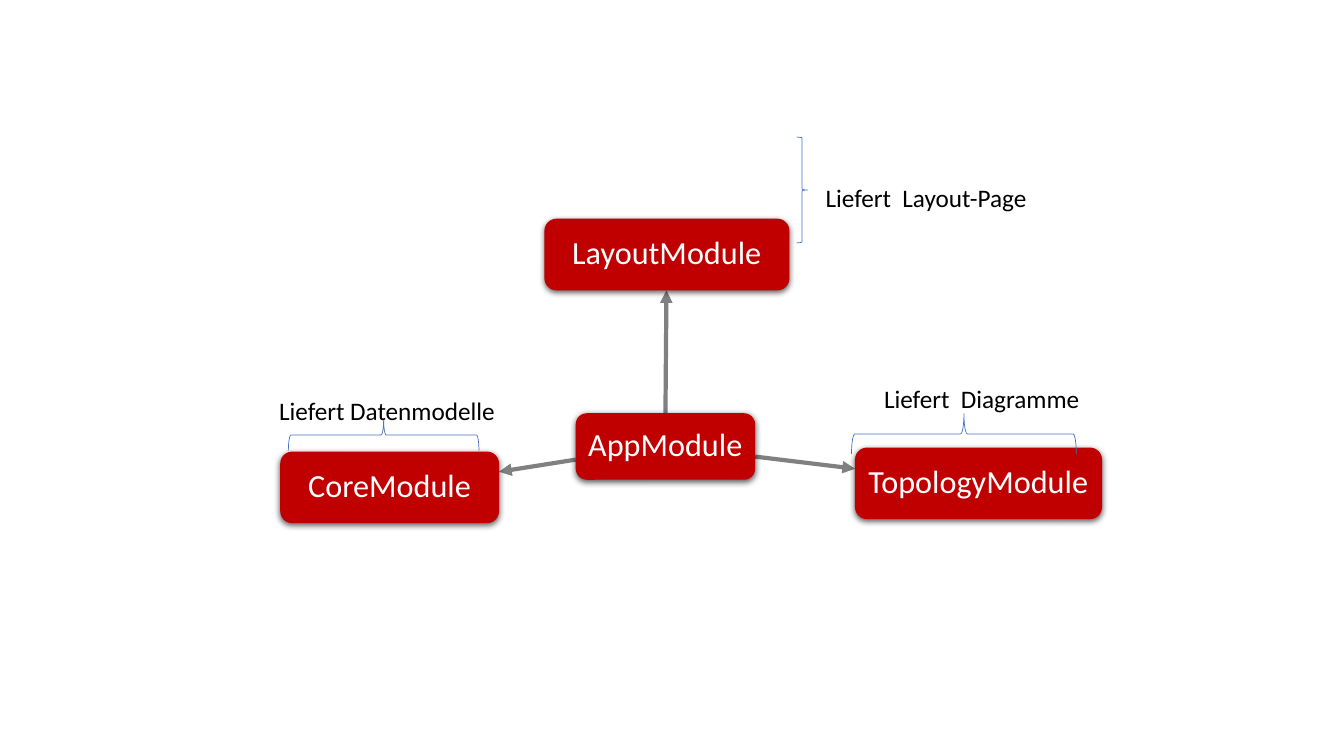
from lxml import etree
from pptx import Presentation
from pptx.dml.color import RGBColor as Rgb
from pptx.enum.shapes import MSO_CONNECTOR as Link, MSO_SHAPE as Kind
from pptx.enum.text import MSO_ANCHOR as Anchor, MSO_AUTO_SIZE as Fit, PP_ALIGN as Align
from pptx.oxml.ns import qn
from pptx.util import Inches, Pt

COLORS = {
    "box": "C00000",
    "arrow": "808080",
    "brace": "4472C4",
    "light": "FFFFFF",
    "dark": "000000",
}
PAD = Inches(0.06)
BOX_FRAME = {
    "margin_left": PAD,
    "margin_right": PAD,
    "margin_top": PAD,
    "margin_bottom": PAD,
    "vertical_anchor": Anchor.MIDDLE,
    "word_wrap": True,
}
BOX_PARA = {"alignment": Align.CENTER, "line_spacing": 0.9}
BOX_FONT = {"name": "Calibri", "size": Pt(23)}
NOTE_FONT = {"name": "Calibri", "size": Pt(18)}

MODULES = [
    ("AppModule", (5.71, 4.1, 1.78, 0.66)),
    ("LayoutModule", (5.4, 2.17, 2.43, 0.71)),
    ("TopologyModule", (8.48, 4.44, 2.45, 0.71)),
    ("CoreModule", (2.78, 4.48, 2.17, 0.71)),
]
ARROWS = [
    (6.6, 4.1, 6.61, 2.88),
    (7.49, 4.53, 8.48, 4.65),
    (5.71, 4.56, 4.95, 4.68),
]
BRACES = [
    (Kind.RIGHT_BRACE, (7.9, 1.36, 0.11, 1.05), 0),
    (Kind.LEFT_BRACE, (3.65, 3.37, 0.31, 1.89), 90),
    (Kind.LEFT_BRACE, (9.36, 3.19, 0.4, 2.23), 90),
]
NOTES = [
    ("Liefert  Layout-Page", (8.09, 1.76, 2.34, 0.4), True),
    ("Liefert Datenmodelle", (2.67, 3.87, 2.37, 0.4), False),
    ("Liefert  Diagramme", (8.67, 3.75, 2.16, 0.4), False),
]


def color(name):
    return Rgb.from_string(COLORS[name])


def inches(sizes):
    return [Inches(size) for size in sizes]


def apply(target, values):
    for name, value in values.items():
        setattr(target, name, value)


def write(frame, text, font, tint):
    run = frame.paragraphs[0].add_run()
    run.text = text
    apply(run.font, font)
    run.font.color.rgb = color(tint)


def add_shade(shape):
    props = shape._element.spPr
    for old in props.findall(qn("a:effectLst")):
        props.remove(old)
    effects = etree.SubElement(props, qn("a:effectLst"))
    shade = etree.SubElement(
        effects, qn("a:outerShdw"),
        blurRad=str(Pt(4.5)), dist=str(Pt(1.5)), dir="5400000",
        algn="ctr", rotWithShape="0",
    )
    tint = etree.SubElement(shade, qn("a:srgbClr"), val=COLORS["dark"])
    etree.SubElement(tint, qn("a:alpha"), val="63000")


def add_box(slide, text, place):
    box = slide.shapes.add_shape(Kind.ROUNDED_RECTANGLE, *inches(place))
    box.fill.solid()
    box.fill.fore_color.rgb = color("box")
    box.line.fill.background()
    add_shade(box)
    frame = box.text_frame
    apply(frame, BOX_FRAME)
    apply(frame.paragraphs[0], BOX_PARA)
    write(frame, text, BOX_FONT, "light")


def add_arrow(slide, ends):
    arrow = slide.shapes.add_connector(Link.STRAIGHT, *inches(ends))
    arrow.line.color.rgb = color("arrow")
    arrow.line.width = Pt(3)
    etree.SubElement(arrow.line._get_or_add_ln(), qn("a:tailEnd"), type="triangle")
    etree.SubElement(arrow._element.spPr, qn("a:effectLst"))


def add_brace(slide, kind, place, turn):
    brace = slide.shapes.add_shape(kind, *inches(place))
    brace.rotation = turn
    brace.shadow.inherit = False
    brace.fill.background()
    brace.line.color.rgb = color("brace")
    brace.line.width = Pt(0.5)


def add_note(slide, text, place, wrap):
    frame = slide.shapes.add_textbox(*inches(place)).text_frame
    apply(frame, {"word_wrap": wrap, "auto_size": Fit.SHAPE_TO_FIT_TEXT})
    write(frame, text, NOTE_FONT, "dark")


def main():
    deck = Presentation()
    apply(deck, {"slide_width": Inches(13.33), "slide_height": Inches(7.5)})
    slide = deck.slides.add_slide(deck.slide_layouts[6])
    for ends in ARROWS:
        add_arrow(slide, ends)
    for module in MODULES:
        add_box(slide, *module)
    for brace in BRACES:
        add_brace(slide, *brace)
    for note in NOTES:
        add_note(slide, *note)
    deck.save("out.pptx")


if __name__ == "__main__":
    main()
